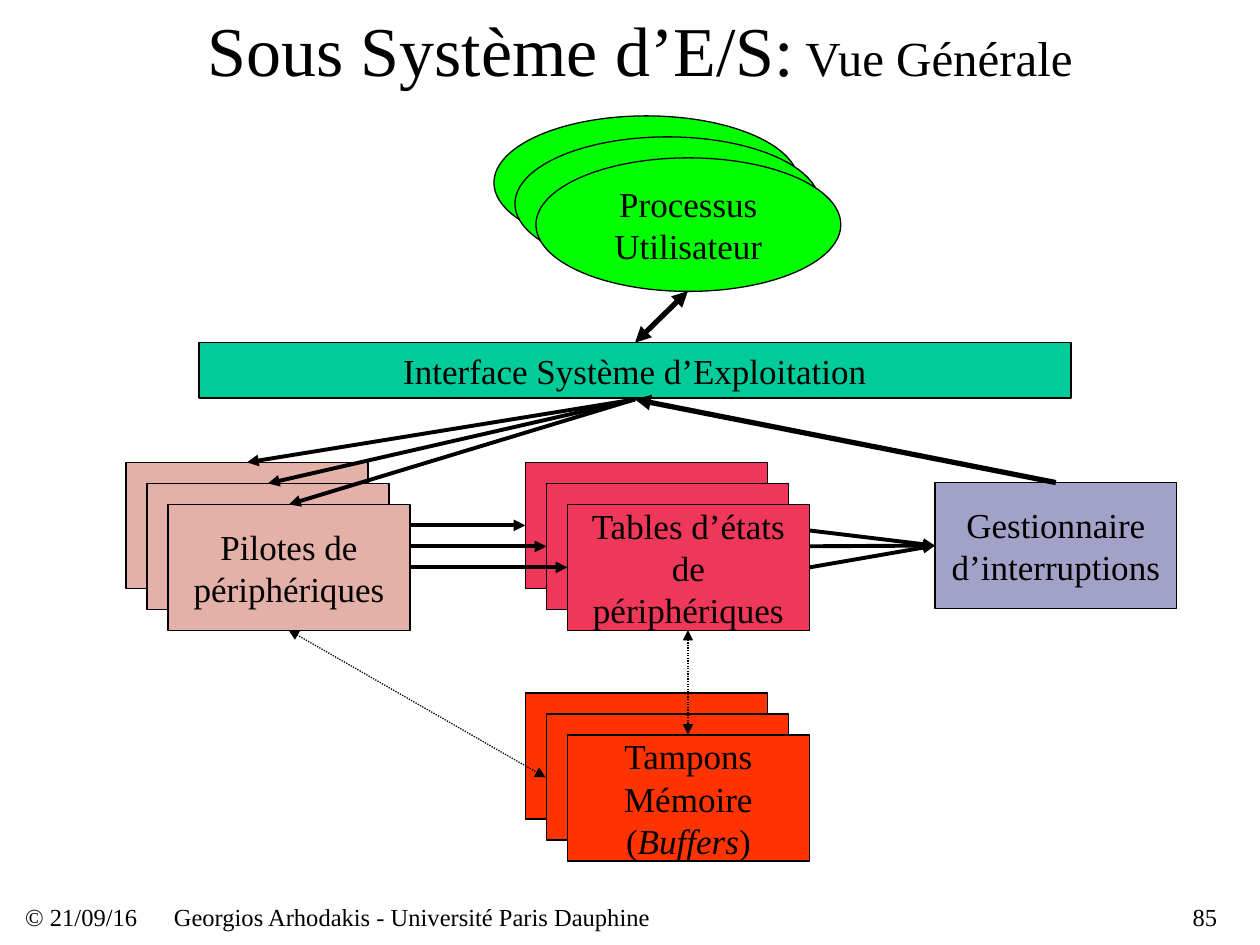
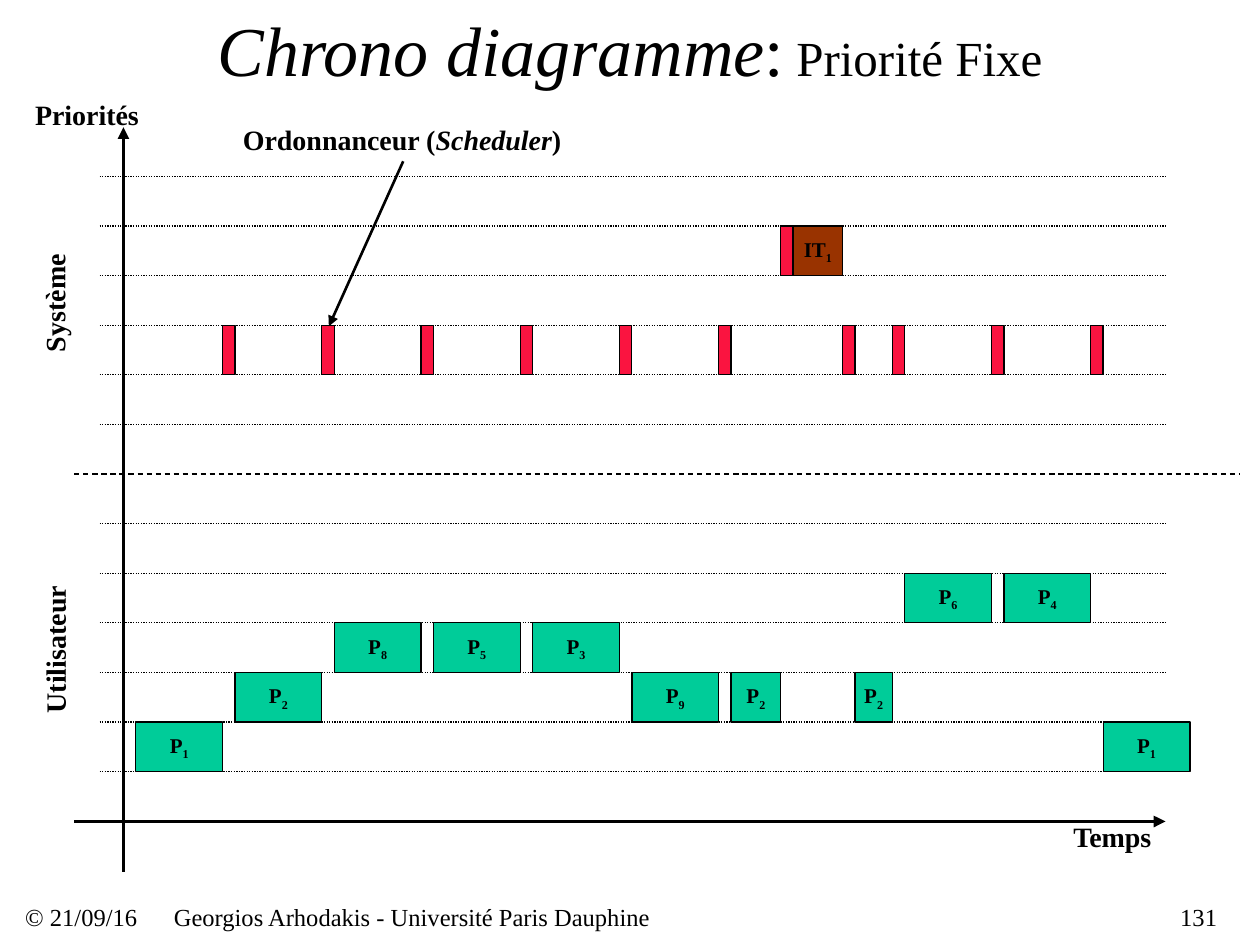
from lxml import etree
from pptx import Presentation
from pptx import util as u
from pptx.dml.color import RGBColor
from pptx.enum import dml, shapes, text
from pptx.oxml import ns

FONT = "Times New Roman"
BLACK, GREEN, TEAL = "000000", "00FF00", "00CC99"
PINK, ROSE, ORANGE, LILAC = "E4B1A8", "EF375A", "FF3300", "A2A2C8"
RED, BROWN = "FA1440", "993300"
RECT, OVAL = shapes.MSO_SHAPE.RECTANGLE, shapes.MSO_SHAPE.OVAL
DOT, DASH = dml.MSO_LINE.ROUND_DOT, dml.MSO_LINE.DASH
LEFT, CENTER, RIGHT = text.PP_ALIGN.LEFT, text.PP_ALIGN.CENTER, text.PP_ALIGN.RIGHT

# Stacked boxes of the overview
STEP = 1 / 6
BOX_W, BOX_H = 1.92, 1
OVAL_W, OVAL_H = 2.42, 1.06

# Grid of the timing chart: one row is 1 cm high, one tick is a quarter of it
ROW = 1 / 2.54
TICK = ROW / 4
AXIS_X, TOP_Y = 0.98, 1.4
SCHEDULER_ROW, INTERRUPT_ROW = 3, 1
# (name, index, row, ticks); a one-tick scheduler bar stands between two tasks
TASKS = [
    ("P", "1", 11, 7), ("P", "2", 10, 7), ("P", "8", 9, 7), ("P", "5", 9, 7),
    ("P", "3", 9, 7), ("P", "9", 10, 7), ("P", "2", 10, 4),
    ("IT", "1", INTERRUPT_ROW, 4), ("P", "2", 10, 3), ("P", "6", 8, 7),
    ("P", "4", 8, 7), ("P", "1", 11, 7),
]


def color(value):
    return RGBColor.from_string(value)


def inches(*lengths):
    return [u.Inches(length) for length in lengths]


def write(sp, runs, size, align=CENTER, bold=False, wrap=True, inset=None):
    """Fill a shape with runs given as (text, style); style is '', 'i', 'sub' or a size."""
    tf = sp.text_frame
    tf.word_wrap = wrap
    tf.auto_size = text.MSO_AUTO_SIZE.NONE
    tf.vertical_anchor = text.MSO_ANCHOR.MIDDLE
    if inset is not None:
        tf.margin_left = tf.margin_right = tf.margin_top = tf.margin_bottom = u.Inches(inset)
    p = tf.paragraphs[0]
    p.alignment = align
    for words, style in runs:
        r = p.add_run()
        r.text = words
        r.font.name = FONT
        r.font.size = u.Pt(style if isinstance(style, int) else size)
        r.font.bold = bold
        r.font.italic = style == "i"
        r.font.color.rgb = color(BLACK)
        if style == "sub":
            r.font._element.set("baseline", "-25000")


def add_box(s, kind, x, y, w, h, fill):
    sp = s.shapes.add_shape(kind, *inches(x, y, w, h))
    sp.shadow.inherit = False
    sp.fill.solid()
    sp.fill.fore_color.rgb = color(fill)
    sp.line.color.rgb = color(BLACK)
    sp.line.width = u.Pt(0.75)
    return sp


def add_label(s, x, y, w, h, runs, size=16, align=LEFT, bold=True, inset=None, rotation=0):
    sp = s.shapes.add_textbox(*inches(x, y, w, h))
    sp.rotation = rotation
    write(sp, runs, size, align, bold, inset=inset)


def add_line(s, start, end, width=0.75, dash=None, ends=()):
    """Draw a line; ends names the arrowheads, 'headEnd' at start and 'tailEnd' at end."""
    c = s.shapes.add_connector(shapes.MSO_CONNECTOR.STRAIGHT, *inches(*start, *end))
    c.line.color.rgb = color(BLACK)
    c.line.width = u.Pt(width)
    if dash is not None:
        c.line.dash_style = dash
    spPr = c._element.spPr
    ln = spPr.find(ns.qn("a:ln"))
    for name in ends:
        etree.SubElement(ln, ns.qn("a:" + name), type="triangle")
    etree.SubElement(spPr, ns.qn("a:effectLst"))


def add_arrow(s, start, end, width=2.25):
    add_line(s, start, end, width, ends=("tailEnd",))


def add_double_arrow(s, start, end, width=0.75, dash=DOT):
    add_line(s, start, end, width, dash, ("headEnd", "tailEnd"))


def add_slide(prs, title_x, title, number):
    """Add a slide with its title and the footer line."""
    s = prs.slides.add_slide(prs.slide_layouts[5])
    sp = s.shapes.title
    sp.left, sp.top, sp.width, sp.height = inches(title_x, 0, 8.5, 0.77)
    write(sp, title, 40)
    for x, w, words, align in (
        (0.2, 1.08, "© 21/09/16", LEFT),
        (1.38, 6.83, "Georgios Arhodakis - Université Paris Dauphine", LEFT),
        (8.66, 1, number, RIGHT),
    ):
        add_label(s, x, 7.16, w, 0.23, [(words, "")], 14, align, bold=False, inset=0)
    return s


def build_overview(prs):
    s = add_slide(prs, 0.83, [("Sous Système d’E/S:", ""), (" Vue Générale", 28)], "85")
    stacks = [
        (RECT, 1, 3.67, BOX_W, BOX_H, PINK, [("Pilotes de périphériques", "")]),
        (OVAL, 3.92, 0.92, OVAL_W, OVAL_H, GREEN, [("Processus Utilisateur", "")]),
        (RECT, 4.17, 3.67, BOX_W, BOX_H, ROSE, [("Tables d’états de périphériques", "")]),
        (RECT, 4.17, 5.5, BOX_W, BOX_H, ORANGE,
         [("Tampons Mémoire (", ""), ("Buffers", "i"), (")", "")]),
    ]
    drivers_x, devices_x, stack_y = 1, 4.17, 3.67
    handler = (7.42, 4.33)
    system_top, system_bottom = (5.04, 2.72), (5.04, 3.17)

    # Single boxes
    sp = add_box(s, RECT, 7.42, 3.83, BOX_W, BOX_H, LILAC)
    write(sp, [("Gestionnaire d’interruptions", "")], 20)
    sp = add_box(s, RECT, 1.58, 2.72, 6.92, 0.44, TEAL)
    write(sp, [("Interface Système d’Exploitation", "")], 20)

    # Back boxes, then the arrows that the front boxes partly cover
    for kind, x, y, w, h, fill, _ in stacks:
        for i in range(2):
            add_box(s, kind, x + i * STEP, y + i * STEP, w, h, fill)
    for i in range(3):
        shift = i * STEP
        mid_y = stack_y + BOX_H / 2 + shift
        add_arrow(s, (drivers_x + BOX_W + shift, mid_y), (devices_x + shift, mid_y))
        add_arrow(s, (devices_x + BOX_W + shift, mid_y), handler)

    # Front boxes
    for kind, x, y, w, h, fill, runs in stacks:
        write(add_box(s, kind, x + 2 * STEP, y + 2 * STEP, w, h, fill), runs, 20)

    # Arrows on top
    for i in range(3):
        add_arrow(s, system_bottom, (drivers_x + BOX_W / 2 + i * STEP, stack_y + i * STEP))
    add_arrow(s, (8.38, 3.83), system_bottom, 3)
    add_double_arrow(s, (5.46, 2.31), system_top, 3, None)
    add_double_arrow(s, (2.29, 5), (4.33, 6.17))
    add_double_arrow(s, (5.46, 5), (5.46, 5.83))


def add_task(s, tick, row, ticks, fill):
    return add_box(s, RECT, AXIS_X + tick * TICK, TOP_Y + row * ROW, ticks * TICK, ROW, fill)


def build_timing_chart(prs):
    s = add_slide(prs, 0.75, [("Chrono diagramme", "i"), (":", ""), (" Priorité Fixe", 28)],
                  "131")

    # Priority levels; the dashed one parts system from user
    for i in range(13):
        y = TOP_Y + i * ROW
        if i == 6:
            add_line(s, (0.59, y), (9.84, y), dash=DASH)
        else:
            add_line(s, (0.79, y), (9.25, y), dash=DOT)

    # Axes
    add_arrow(s, (0.59, 6.52), (9.25, 6.52))
    add_arrow(s, (AXIS_X, 6.92), (AXIS_X, 1.01))

    # Tasks in order of time, each but the first after a scheduler bar
    tick = 0
    for name, index, row, ticks in TASKS:
        interrupt = row == INTERRUPT_ROW
        if tick:
            add_task(s, tick, row if interrupt else SCHEDULER_ROW, 1, RED)
        sp = add_task(s, tick + 1, row, ticks, BROWN if interrupt else TEAL)
        write(sp, [(name, ""), (index, "sub")], 12, bold=True, wrap=False)
        tick += ticks + 1

    # Labels
    add_label(s, 8.42, 6.45, 1, 0.37, [("Temps", "")])
    add_label(s, 0.18, 0.72, 1.07, 0.37, [("Priorités", "")])
    add_label(s, -0.82, 2.22, 2.5, 0.37, [("Système", "")], align=CENTER, rotation=270)
    add_label(s, -0.9, 4.97, 2.67, 0.37, [("Utilisateur", "")], align=CENTER, rotation=270)
    add_label(s, 1.83, 0.92, 2.74, 0.37,
              [("Ordonnanceur (", ""), ("Scheduler", "i"), (")", "")])
    add_arrow(s, (3.2, 1.28), (2.61, 2.59), 1.5)


def main():
    prs = Presentation()
    prs.slide_width, prs.slide_height = inches(10, 7.5)
    build_overview(prs)
    build_timing_chart(prs)
    prs.save("out.pptx")


if __name__ == "__main__":
    main()
